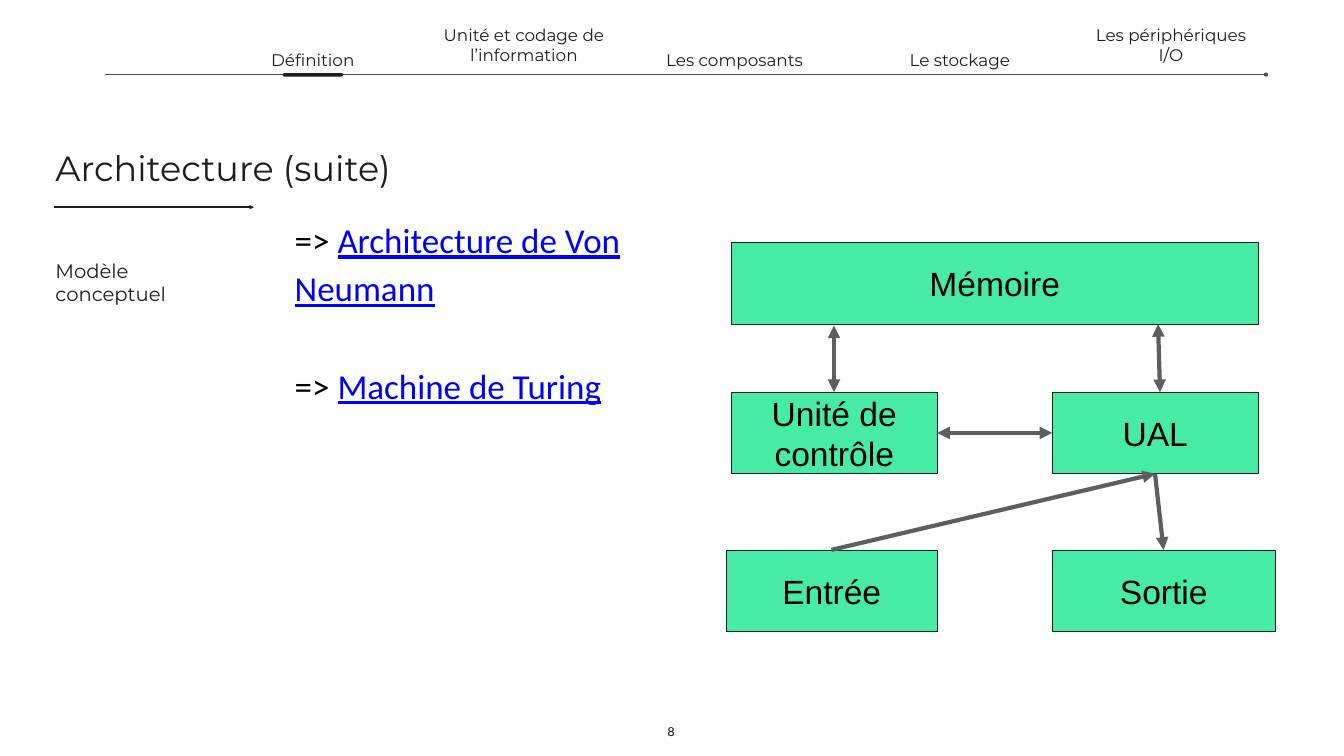
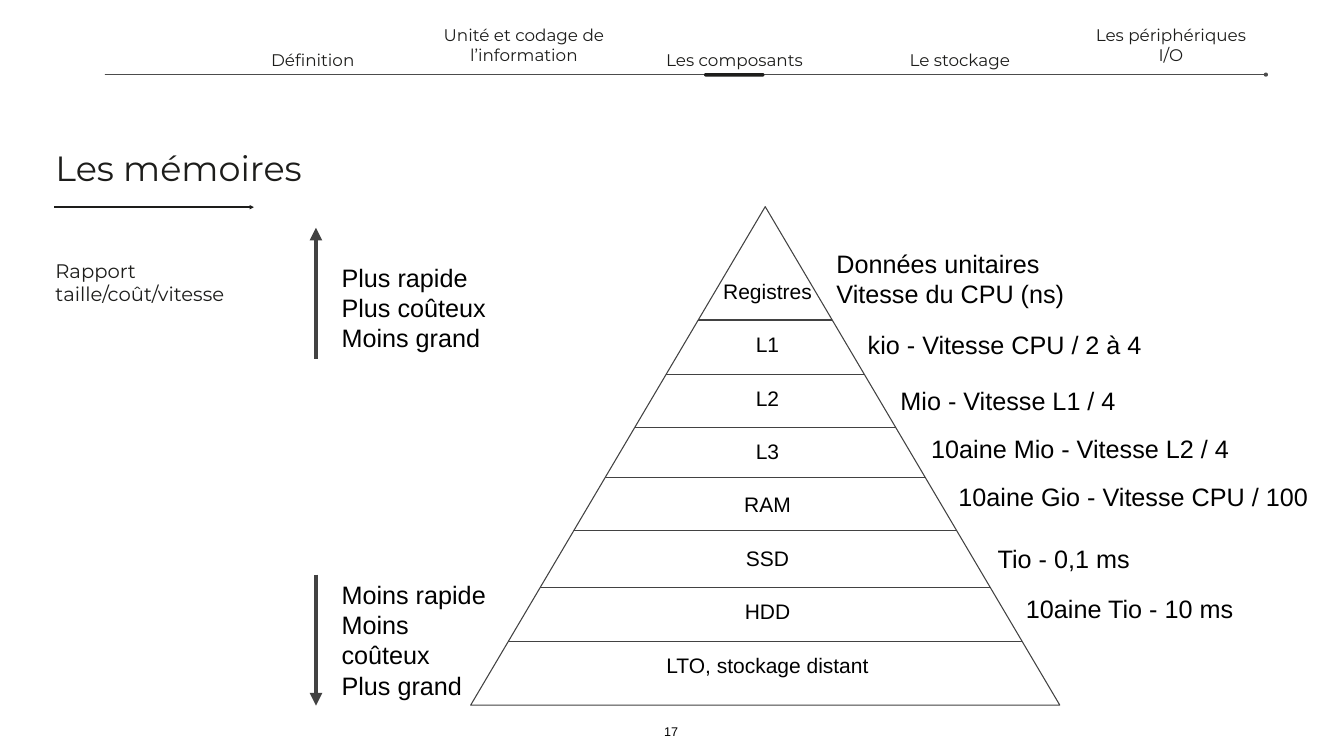
from dataclasses import dataclass
from typing import NamedTuple

from lxml.etree import SubElement
from pptx import Presentation
from pptx.dml.color import RGBColor
from pptx.enum.shapes import MSO_CONNECTOR as Link, MSO_SHAPE as Preset
from pptx.enum.text import MSO_ANCHOR as Anchor, MSO_AUTO_SIZE as Fit, PP_ALIGN as Align
from pptx.oxml.ns import qn
from pptx.util import Inches, Pt

COLORS = {
    "ink": "1D1D1B",
    "black": "000000",
    "link": "0000FF",
    "block": "46ECA4",
    "flow": "5E5E5E",
    "pyramid": "424242",
}
HEADING, BODY, SERIES = "Montserrat", "Arial", "Calibri"


class Area(NamedTuple):
    left: float
    top: float
    width: float
    height: float


class Span(NamedTuple):
    text: str
    color: str = "black"
    underline: bool = False


class Point(NamedTuple):
    x: float
    y: float


@dataclass(frozen=True)
class TextStyle:
    size: float
    font: str = BODY
    color: str = "black"
    align: Align = Align.LEFT
    anchor: Anchor = Anchor.TOP
    inset: float = 0.1
    grow: bool = False
    line_spacing: float | None = None
    gap: float = 0


@dataclass(frozen=True)
class LineStyle:
    color: str
    width: float
    head: str = ""
    tail: str = ""
    alpha: int = 100
    kind: Link = Link.STRAIGHT


class Tab(NamedTuple):
    area: Area
    lines: tuple[str, ...]


class Block(NamedTuple):
    label: str
    area: Area


class Note(NamedTuple):
    area: Area
    lines: tuple[str, ...]


TITLE = TextStyle(50, HEADING, "ink", anchor=Anchor.MIDDLE, inset=0.06, grow=True)
SUBTITLE = TextStyle(28, HEADING, "ink", anchor=Anchor.MIDDLE, inset=0.06, grow=True)
TAB = TextStyle(24, HEADING, "ink", Align.CENTER, Anchor.MIDDLE, 0.06, True)
NUMBER = TextStyle(18, align=Align.CENTER, anchor=Anchor.BOTTOM, inset=0.06, grow=True)
MODELS = TextStyle(50, SERIES, line_spacing=1.15, gap=70)
BLOCK = TextStyle(48, align=Align.CENTER, anchor=Anchor.MIDDLE)
LEVEL = TextStyle(30, align=Align.CENTER, anchor=Anchor.MIDDLE)
NOTE = TextStyle(36, grow=True)

TITLE_ARROW = LineStyle("ink", 2, tail="triangle")
TIMELINE = LineStyle("black", 1, tail="oval", alpha=70)
ONE_WAY = LineStyle("flow", 6, tail="triangle")
TWO_WAY = LineStyle("flow", 6, head="triangle", tail="triangle")
SCALE = LineStyle("pyramid", 6, tail="triangle")
DIVIDER = LineStyle("pyramid", 1.5, kind=Link.ELBOW)

TIMELINE_Y = 1.48
TABS = (
    Tab(Area(4.11, 0.93, 4.19, 0.52), ("Définition",)),
    Tab(Area(8.59, 0.43, 3.61, 0.92), ("Unité et codage de l’information",)),
    Tab(Area(12.48, 0.93, 4.19, 0.52), ("Les composants",)),
    Tab(Area(16.95, 0.93, 4.19, 0.52), ("Le stockage",)),
    Tab(Area(21.14, 0.43, 4.19, 0.92), ("Les périphériques", "I/O")),
)

BLOCKS = (
    Block("Mémoire", Area(14.51, 4.81, 10.46, 1.62)),
    Block("Unité de contrôle", Area(14.51, 7.78, 4.09, 1.62)),
    Block("UAL", Area(20.88, 7.78, 4.09, 1.62)),
    Block("Entrée", Area(14.41, 10.91, 4.19, 1.62)),
    Block("Sortie", Area(20.88, 10.91, 4.43, 1.62)),
)
FLOWS = (
    (Point(16.55, 7.78), Point(16.55, 6.46), TWO_WAY),
    (Point(23.02, 7.78), Point(22.98, 6.43), TWO_WAY),
    (Point(18.6, 8.59), Point(20.88, 8.59), TWO_WAY),
    (Point(16.5, 10.91), Point(22.92, 9.4), ONE_WAY),
    (Point(22.92, 9.4), Point(23.09, 10.91), ONE_WAY),
)

PYRAMID = Area(9.34, 4.1, 11.69, 9.89)
LEVELS = ("Registres", "L1", "L2", "L3", "RAM", "SSD", "HDD", "LTO, stockage distant")
LEVEL_CENTER, LEVEL_TOP, LEVEL_STEP = 15.23, 5.55, 1.06
DIVIDERS = (6.35, 7.44, 8.48, 9.48, 10.53, 11.66, 12.72)
NOTES = (
    Note(Area(6.68, 5.1, 3.22, 2.02), ("Plus rapide", "Plus coûteux", "Moins grand")),
    Note(Area(6.68, 11.39, 3.22, 2.63), ("Moins rapide", "Moins coûteux", "Plus grand")),
    Note(Area(16.5, 4.82, 8.29, 1.41), ("Données unitaires", "Vitesse du CPU (ns)")),
    Note(Area(17.12, 6.44, 7.68, 0.81), ("kio - Vitesse CPU / 2 à 4",)),
    Note(Area(17.77, 7.55, 7.32, 0.81), ("Mio - Vitesse L1 / 4",)),
    Note(Area(18.38, 8.5, 6.93, 0.81), ("10aine Mio - Vitesse L2 / 4",)),
    Note(Area(18.92, 9.45, 7.68, 0.81), ("10aine Gio - Vitesse CPU / 100",)),
    Note(Area(19.7, 10.67, 5.85, 0.81), ("Tio - 0,1 ms",)),
    Note(Area(20.26, 11.68, 5.28, 0.81), ("10aine Tio - 10 ms",)),
)


def rgb(name: str) -> RGBColor:
    return RGBColor.from_string(COLORS[name])


def write(box, paragraphs, style: TextStyle) -> None:
    frame = box.text_frame
    frame.word_wrap = True
    frame.auto_size = Fit.SHAPE_TO_FIT_TEXT if style.grow else Fit.NONE
    frame.vertical_anchor = style.anchor
    frame.margin_left = frame.margin_right = Inches(style.inset)
    frame.margin_top = frame.margin_bottom = Inches(style.inset)
    for index, spans in enumerate(paragraphs):
        para = frame.add_paragraph() if index else frame.paragraphs[0]
        para.alignment = style.align
        if style.line_spacing:
            para.line_spacing = style.line_spacing
        if index and style.gap:
            para.space_before = Pt(style.gap)
        for span in spans:
            run = para.add_run()
            run.text = span.text
            run.font.size = Pt(style.size)
            run.font.name = style.font
            run.font.color.rgb = rgb(span.color)
            run.font.underline = span.underline


def add_text(shapes, area: Area, lines: tuple[str, ...], style: TextStyle) -> None:
    box = shapes.add_textbox(*map(Inches, area))
    write(box, [[Span(line, style.color)] for line in lines], style)


def add_preset(shapes, preset: Preset, area: Area, fill: str = "", line: str = "", width: float = 0):
    shape = shapes.add_shape(preset, *map(Inches, area))
    shape.shadow.inherit = False
    if fill:
        shape.fill.solid()
        shape.fill.fore_color.rgb = rgb(fill)
    else:
        shape.fill.background()
    if line:
        shape.line.color.rgb = rgb(line)
        shape.line.width = Pt(width)
    else:
        shape.line.fill.background()
    return shape


def add_line(shapes, start: Point, end: Point, style: LineStyle) -> None:
    line = shapes.add_connector(style.kind, *map(Inches, (*start, *end)))
    line.line.color.rgb = rgb(style.color)
    line.line.width = Pt(style.width)
    properties = line.element.spPr
    outline = properties.find(qn("a:ln"))
    if style.alpha < 100:
        color = outline.find(".//" + qn("a:srgbClr"))
        SubElement(color, qn("a:alpha"), val=str(style.alpha * 1000))
    for tag, arrow in (("a:headEnd", style.head), ("a:tailEnd", style.tail)):
        if arrow:
            SubElement(outline, qn(tag), type=arrow)
    SubElement(properties, qn("a:effectLst"))


def add_page(deck, title: str, subtitle: str, number: int, marker_left: float):
    page = deck.slides.add_slide(deck.slide_layouts[6])
    shapes = page.shapes
    add_line(shapes, Point(1.08, 4.11), Point(5.04, 4.11), TITLE_ARROW)
    add_text(shapes, Area(1.04, 2.85, 14.62, 0.95), (title,), TITLE)
    add_text(shapes, Area(1.04, 5.07, 3.83, 1.05), (subtitle,), SUBTITLE)
    add_line(shapes, Point(2.08, TIMELINE_Y), Point(25.12, TIMELINE_Y), TIMELINE)
    for tab in TABS:
        add_text(shapes, tab.area, tab.lines, TAB)
    marker_area = Area(marker_left, TIMELINE_Y - 0.03, 1.2, 0.07)
    marker = add_preset(shapes, Preset.ROUNDED_RECTANGLE, marker_area, "ink")
    marker.adjustments[0] = 0.5
    add_text(shapes, Area(13.12, 14.31, 0.4, 0.42), (str(number),), NUMBER)
    return page


def add_architecture(deck) -> None:
    page = add_page(deck, "Architecture (suite)", "Modèle conceptuel", 8, 5.61)
    models = page.shapes.add_textbox(*map(Inches, Area(5.75, 4.11, 8.02, 10.19)))
    names = ("Architecture de Von Neumann", "Machine de Turing")
    write(models, [[Span("=> "), Span(name, "link", True)] for name in names], MODELS)
    for block in BLOCKS:
        shape = add_preset(page.shapes, Preset.RECTANGLE, block.area, "block", "ink", 0.75)
        write(shape, [[Span(block.label)]], BLOCK)
    for start, end, style in FLOWS:
        add_line(page.shapes, start, end, style)


def add_pyramid(page) -> None:
    shapes = page.shapes.add_group_shape().shapes
    add_preset(shapes, Preset.ISOSCELES_TRIANGLE, PYRAMID, line="pyramid", width=1.5)
    for index, label in enumerate(LEVELS):
        width = 4.96 if label == LEVELS[-1] else 2.02
        top = LEVEL_TOP + index * LEVEL_STEP
        add_text(shapes, Area(LEVEL_CENTER - width / 2, top, width, 0.44), (label,), LEVEL)
    apex = PYRAMID.left + PYRAMID.width / 2
    for y in DIVIDERS:
        half = (y - PYRAMID.top) / PYRAMID.height * PYRAMID.width / 2
        add_line(shapes, Point(apex - half, y), Point(apex + half, y), DIVIDER)


def add_memories(deck) -> None:
    page = add_page(deck, "Les mémoires", "Rapport taille/coût/vitesse", 17, 13.97)
    add_pyramid(page)
    add_line(page.shapes, Point(6.27, 11.4), Point(6.27, 14), SCALE)
    add_line(page.shapes, Point(6.27, 7.12), Point(6.27, 4.52), SCALE)
    for note in NOTES:
        add_text(page.shapes, note.area, note.lines, NOTE)


def main() -> None:
    deck = Presentation()
    deck.slide_width, deck.slide_height = Inches(26.67), Inches(15)
    add_architecture(deck)
    add_memories(deck)
    deck.save("out.pptx")


if __name__ == "__main__":
    main()
